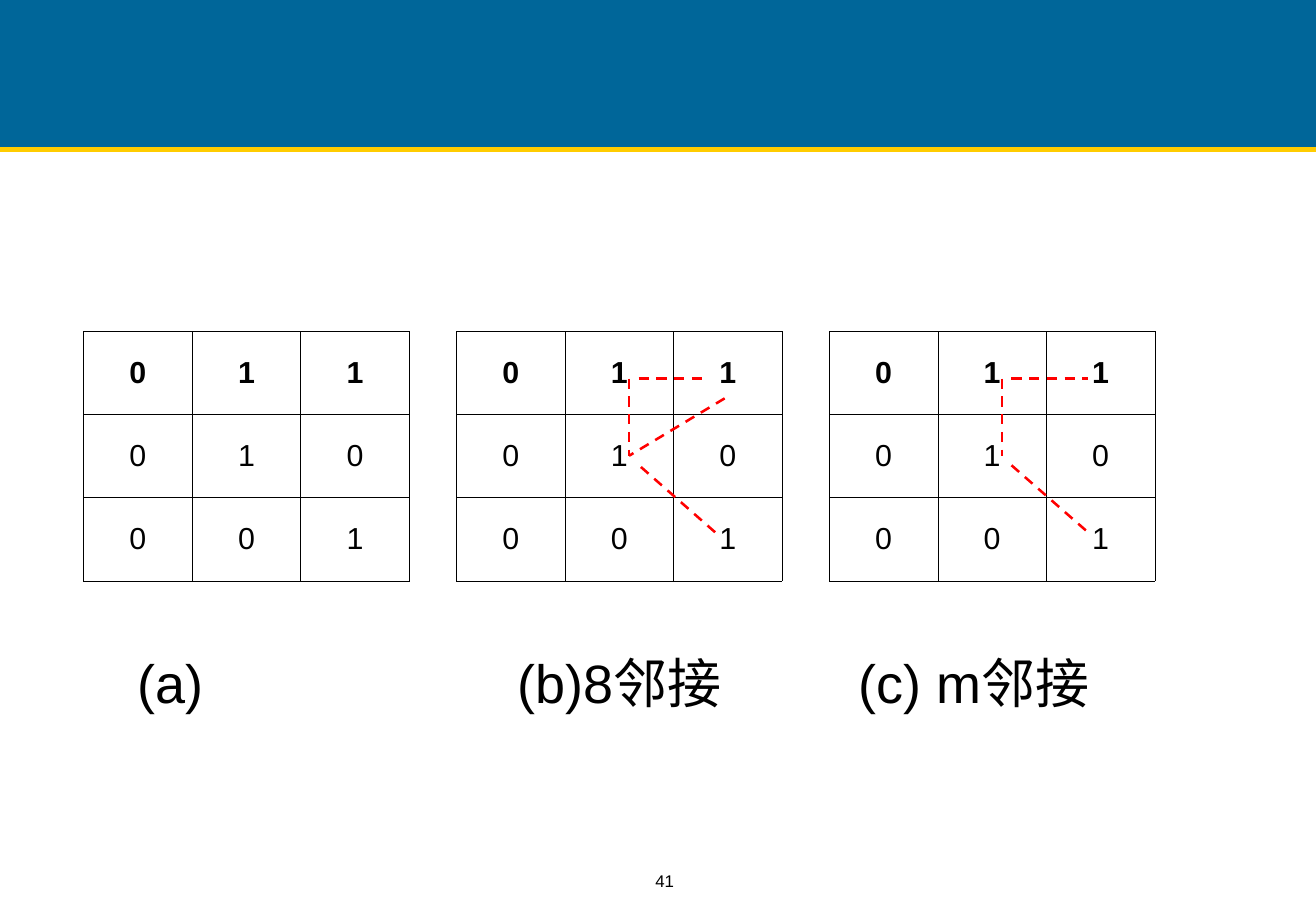
from lxml.etree import SubElement
from pptx import Presentation
from pptx.dml.color import RGBColor
from pptx.enum.dml import MSO_LINE_DASH_STYLE as DASH
from pptx.enum.shapes import MSO_CONNECTOR, MSO_SHAPE
from pptx.enum.text import MSO_ANCHOR, PP_ALIGN
from pptx.oxml.ns import qn
from pptx.util import Cm, Pt

BLUE = RGBColor(0x00, 0x66, 0x99)
GOLD = RGBColor(0xFF, 0xCC, 0x00)
RED = RGBColor(0xFF, 0x00, 0x00)
BLACK = RGBColor(0x00, 0x00, 0x00)
WHITE = RGBColor(0xFF, 0xFF, 0xFF)
FONT = "Arial"

SLIDE_WIDTH, SLIDE_HEIGHT = 27.53, 19.05
BAND_HEIGHT = 3.12
GRID_LEFT, GRID_TOP, GRID_PITCH = 1.75, 6.93, 7.8
CELL_WIDTH, CELL_HEIGHT = 2.27, 1.74
PIXELS = ["011", "010", "001"]
CAPTIONS = ["(a)", "(b)8邻接", "(c) m邻接"]
CAPTION_TABS = [7.95, 15.09]

CENTER_TO_TOP = (3.61, 7.92, 3.61, 9.53)
EIGHT_PATHS = [
    CENTER_TO_TOP,
    (3.81, 7.92, 5.21, 7.92),
    (5.61, 8.33, 3.61, 9.53),
    (5.41, 11.13, 3.84, 9.75),
]
MIXED_PATHS = [
    CENTER_TO_TOP,
    (3.81, 9.73, 5.41, 11.13),
    (3.81, 7.92, 5.41, 7.92),
]
GRID_PATHS = [[], EIGHT_PATHS, MIXED_PATHS]


def style_font(paragraph, size, bold=False):
    font = paragraph.font
    font.name = FONT
    font.size = Pt(size)
    font.bold = bold
    font.color.rgb = BLACK


def add_band(slide):
    band = slide.shapes.add_shape(
        MSO_SHAPE.RECTANGLE, 0, 0, Cm(SLIDE_WIDTH), Cm(BAND_HEIGHT))
    band.shadow.inherit = False
    band.fill.solid()
    band.fill.fore_color.rgb = BLUE
    band.line.fill.background()


def add_line(slide, ends, color, width, dash=None):
    line = slide.shapes.add_connector(
        MSO_CONNECTOR.STRAIGHT, *[Cm(value) for value in ends])
    line.line.color.rgb = color
    line.line.width = Pt(width)
    if dash:
        line.line.dash_style = dash
    SubElement(line._element.spPr, qn("a:effectLst"))


def add_text(slide, box, text, size, spacing, tabs=()):
    shape = slide.shapes.add_textbox(*[Cm(value) for value in box])
    shape.text_frame.word_wrap = True
    paragraph = shape.text_frame.paragraphs[0]
    paragraph.text = text
    paragraph.line_spacing = spacing
    if tabs:
        tab_list = SubElement(paragraph._p.get_or_add_pPr(), qn("a:tabLst"))
        for position in tabs:
            SubElement(tab_list, qn("a:tab"), pos=str(Cm(position)), algn="l")
    style_font(paragraph, size)
    return shape


def add_borders(cell):
    properties = cell._tc.get_or_add_tcPr()
    for side in ("lnL", "lnR", "lnT", "lnB"):
        border = SubElement(properties, qn(f"a:{side}"), w=str(Pt(0.45)))
        fill = SubElement(border, qn("a:solidFill"))
        SubElement(fill, qn("a:srgbClr"), val=str(BLACK))


def add_grid(slide, left):
    size = len(PIXELS)
    table = slide.shapes.add_table(
        size, size, Cm(left), Cm(GRID_TOP),
        Cm(size * CELL_WIDTH), Cm(size * CELL_HEIGHT)).table
    table.first_row = False
    table.horz_banding = False
    for row, values in enumerate(PIXELS):
        for column, value in enumerate(values):
            cell = table.cell(row, column)
            add_borders(cell)
            cell.fill.solid()
            cell.fill.fore_color.rgb = WHITE
            cell.vertical_anchor = MSO_ANCHOR.MIDDLE
            cell.text = value
            paragraph = cell.text_frame.paragraphs[0]
            paragraph.alignment = PP_ALIGN.CENTER
            style_font(paragraph, 18, bold=row == 0)


def main():
    presentation = Presentation()
    presentation.slide_width = Cm(SLIDE_WIDTH)
    presentation.slide_height = Cm(SLIDE_HEIGHT)
    slide = presentation.slides.add_slide(presentation.slide_layouts[6])

    add_band(slide)
    add_line(slide, (0, BAND_HEIGHT, SLIDE_WIDTH, BAND_HEIGHT), GOLD, 3)
    add_text(slide, (2.62, 13.13, 22.94, 3.58), "\t".join(CAPTIONS),
             32, 1.25, CAPTION_TABS)
    number = add_text(slide, (11.35, 18.14, 5.11, 0.61), "41", 10, 0.8)
    number.text_frame.vertical_anchor = MSO_ANCHOR.BOTTOM
    number.text_frame.paragraphs[0].alignment = PP_ALIGN.CENTER

    for index, paths in enumerate(GRID_PATHS):
        left = GRID_LEFT + index * GRID_PITCH
        add_grid(slide, left)
        for x1, y1, x2, y2 in paths:
            add_line(slide, (left + x1, y1, left + x2, y2), RED, 1.5, DASH.DASH)

    presentation.save("out.pptx")


if __name__ == "__main__":
    main()
